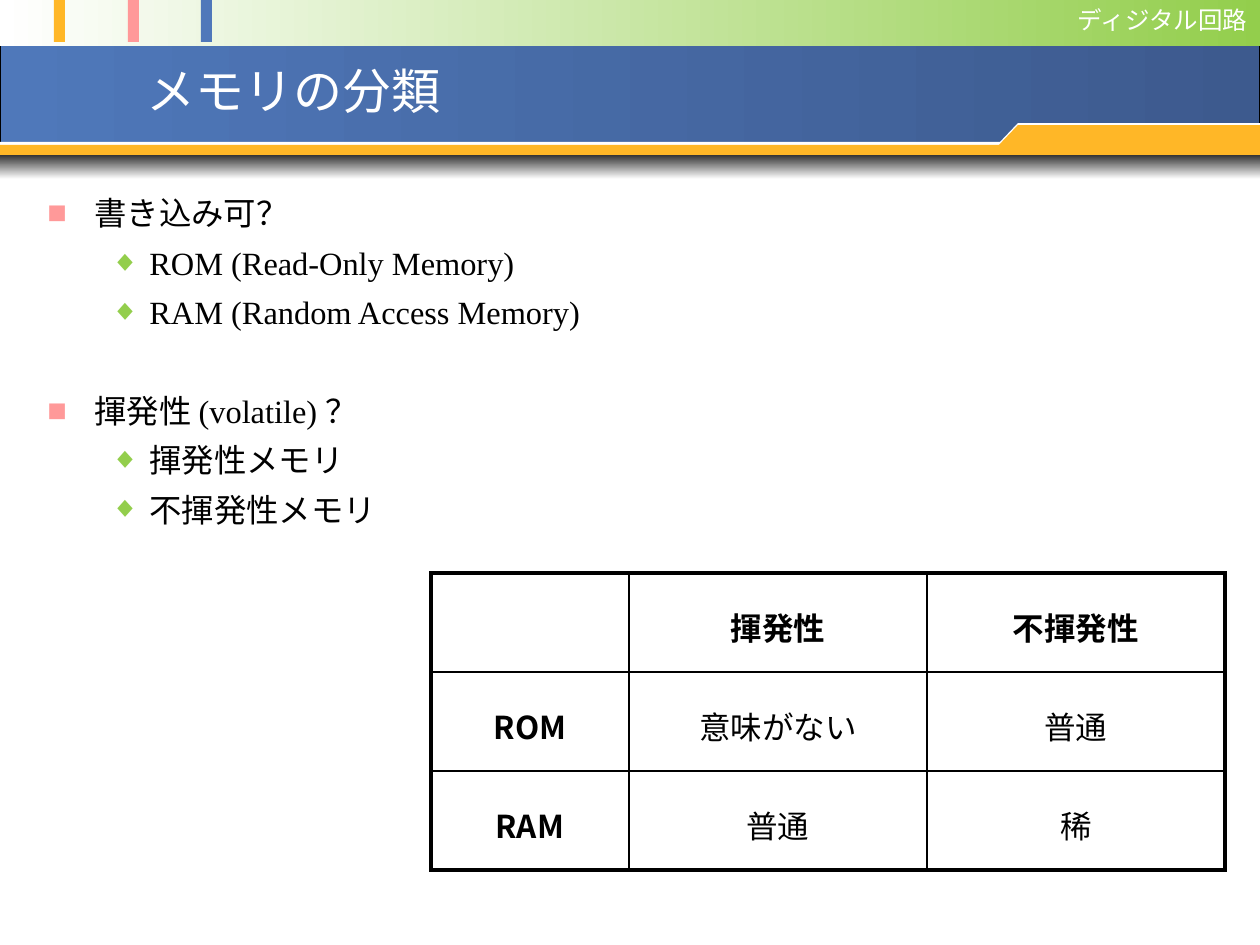
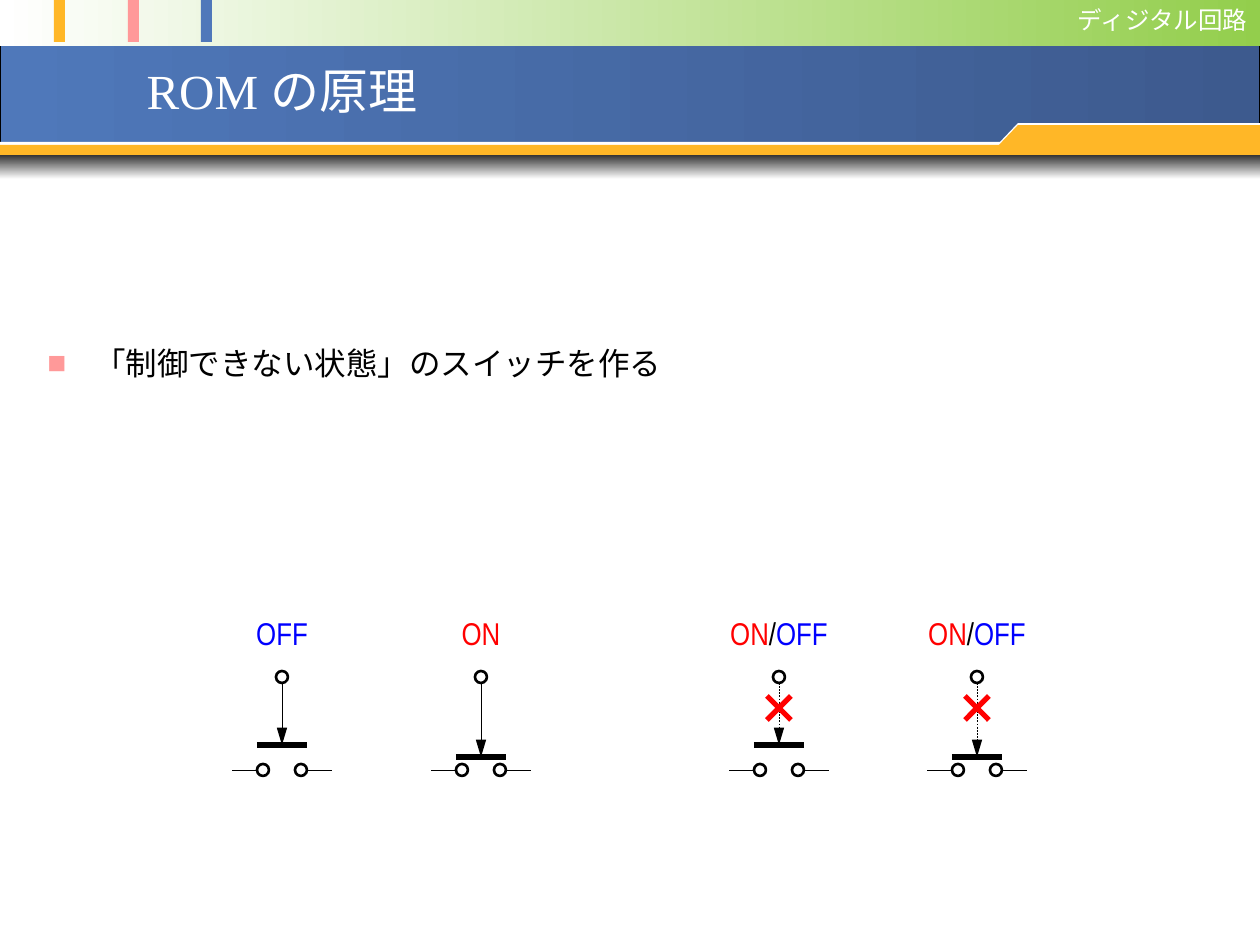
from lxml.etree import SubElement
from pptx import Presentation
from pptx.dml.color import RGBColor
from pptx.enum.dml import MSO_LINE
from pptx.enum.shapes import MSO_CONNECTOR, MSO_SHAPE
from pptx.enum.text import MSO_ANCHOR, PP_ALIGN
from pptx.oxml import parse_xml
from pptx.oxml.ns import nsdecls, qn
from pptx.util import Pt

PX = 914400 / 126
HUE = {
    "black": "000000", "white": "FFFFFF", "gold": "FFB727", "pink": "FF9999",
    "blue": "4F78BA", "navy": "3D5A8E", "green": "93CE4C",
    "red": "FF0000", "cold": "0000FF",
}
SERIF, SANS, SLIM = "Times New Roman", "Noto Sans CJK JP", "Arial Narrow"
RGB = {name: RGBColor.from_string(code) for name, code in HUE.items()}


def write(frame, text, size=18, font=SERIF, hue="black", bold=False,
          align=PP_ALIGN.LEFT, lead=None, gap=0, mark=None):
    para = frame.paragraphs[0]
    if frame.text:
        para = frame.add_paragraph()
    frame.vertical_anchor = MSO_ANCHOR.MIDDLE
    para.alignment = align
    para.space_before = Pt(gap)
    if lead:
        para.line_spacing = lead
    if mark:
        sign, tint, left, hang, scale = mark
        prop = para._p.get_or_add_pPr()
        prop.set("marL", str(round(left * PX)))
        prop.set("indent", str(round(-hang * PX)))
        color = SubElement(prop, qn("a:buClr"))
        SubElement(color, qn("a:srgbClr"), val=HUE[tint])
        SubElement(prop, qn("a:buSzPct"), val=str(scale * 1000))
        SubElement(prop, qn("a:buFont"), typeface=SERIF)
        SubElement(prop, qn("a:buChar"), char=sign)
    for part, tint in [(text, hue)] if isinstance(text, str) else text:
        run = para.add_run()
        run.text = part
        run.font.size = Pt(size)
        run.font.bold = bold
        run.font.name = font
        run.font.color.rgb = RGB[tint]
        SubElement(run.font._element, qn("a:ea"), typeface=SANS)


def draw(shapes, kind, *at, fill=None, turn=0, ink=None, wide=1, dash=False, tip=False):
    if kind == "free":
        path = shapes.build_freeform(*at[0], scale=PX)
        path.add_line_segments(at[1:])
        item = path.convert_to_shape()
    else:
        area = [round(v * PX) for v in at]
        if kind == "text":
            item = shapes.add_textbox(*area)
            item.text_frame.word_wrap = True
            return item.text_frame
        if kind == "line":
            item = shapes.add_connector(MSO_CONNECTOR.STRAIGHT, *area)
            SubElement(item.element.spPr, qn("a:effectLst"))
        else:
            item = shapes.add_shape(kind, *area)
    if kind != "line":
        item.shadow.inherit = False
        if isinstance(fill, tuple):
            item.fill.gradient()
            item.fill.gradient_angle = turn
            for stop, spot, name in zip(item.fill.gradient_stops, (0, 1), fill):
                stop.position = spot
                stop.color.rgb = RGB[name]
        elif fill:
            item.fill.solid()
            item.fill.fore_color.rgb = RGB[fill]
        else:
            item.fill.background()
    if ink:
        item.line.color.rgb = RGB[ink]
        item.line.width = Pt(wide)
    else:
        item.line.fill.background()
    if dash:
        item.line.dash_style = MSO_LINE.DASH
    if tip:
        edge = item.line._get_or_add_ln()
        SubElement(edge, qn("a:tailEnd"), type="triangle", w="med", len="lg")


deck = Presentation()
deck.slide_width, deck.slide_height = round(1260 * PX), round(945 * PX)
base = deck.slide_layouts[5]
for item in list(base.placeholders)[1:]:
    item.element.getparent().remove(item.element)

pages = []
for name in ("メモリの分類", "ROM の原理"):
    page = deck.slides.add_slide(base)
    title = page.shapes.title
    title.left, title.top, title.width, title.height = [
        round(v * PX) for v in (134, 46, 993, 87)]
    write(title.text_frame, name, size=28, hue="white")
    pages.append(page.shapes)
first, second = pages

RECT, OVAL = MSO_SHAPE.RECTANGLE, MSO_SHAPE.OVAL
draw(first, RECT, 0, 0, 1260, 175, fill=("blue", "navy"), ink="black", wide=0.75)
draw(first, RECT, 0, 0, 1260, 46, fill=("white", "green"))
for x, hue in (54, "gold"), (128, "pink"), (201, "blue"):
    draw(first, RECT, x, 0, 11, 42, fill=hue)
head = draw(first, "text", 1061, -2, 199, 43)
head.word_wrap = False
write(head, "ディジタル回路", size=14, font=SANS, hue="white", align=PP_ALIGN.RIGHT)
draw(first, RECT, 0, 149, 1260, 30, fill=("black", "white"), turn=270)
for hue, band, step in ("white", 142, 123), ("gold", 145, 125):
    draw(first, RECT, 0, band, 1260, 10, fill=hue)
    draw(first, RECT, 1018, step, 242, 21, fill=hue)
    draw(first, "free", (998, step + 21), (1018, step + 21), (1018, step), fill=hue)
for item in list(first):
    if not item.is_placeholder:
        base.shapes.element.append(item.element)

MARKS = ("■", "pink", 47, 47, 100), ("◆", "green", 102, 39, 90)
BODY = 35, 176, 1225, 368
body = draw(first, "text", *BODY)
for text, level, gap in (
    ("書き込み可？", 0, 4.8),
    ("ROM (Read-Only Memory)", 1, 4.8),
    ("RAM (Random Access Memory)", 1, 4.8),
    ("揮発性 (volatile) ？", 0, 33),
    ("揮発性メモリ", 1, 4.8),
    ("不揮発性メモリ", 1, 4.8),
):
    write(body, text, size=18.5, lead=Pt(23.4), gap=gap, mark=MARKS[level])

rows = ("", "揮発性", "不揮発性"), ("ROM", "意味がない", "普通"), ("RAM", "普通", "稀")
edges = 2.25, 1.5, 1, 2.25
grid = first.add_table(3, 3, *[round(v * PX) for v in (431, 573, 794, 297)]).table
grid.first_row = grid.horz_banding = False
for col, wide in zip(grid.columns, (198, 298, 298)):
    col.width = round(wide * PX)
for r, row in enumerate(rows):
    grid.rows[r].height = round(99 * PX)
    for c, text in enumerate(row):
        cell = grid.cell(r, c)
        cell.fill.background()
        if text:
            write(cell.text_frame, text, font=SANS, bold=r == 0 or c == 0,
                  align=PP_ALIGN.CENTER, lead=1.2, gap=5)
        cell.vertical_anchor = MSO_ANCHOR.MIDDLE
        prop = cell._tc.get_or_add_tcPr()
        sides = ("L", c), ("R", c + 1), ("T", r), ("B", r + 1)
        for spot, (side, edge) in enumerate(sides):
            prop.insert(spot, parse_xml(
                f'<a:ln{side} {nsdecls("a")} w="{round(edges[edge] * 12700)}">'
                f'<a:solidFill><a:srgbClr val="{HUE["black"]}"/></a:solidFill>'
                f'</a:ln{side}>'))

write(draw(second, "text", *BODY), "「制御できない状態」のスイッチを作る",
      lead=Pt(24.8), gap=5, mark=MARKS[0])

off, on = ("OFF", "cold"), ("ON", "red")
both = [on, ("/", "black"), off]
for x, bar, label, cut in (
    (282, 745, [off], False), (481, 757, [on], False),
    (779, 745, both, True), (977, 757, both, True),
):
    for side in (-1, 1):
        draw(second, OVAL, x + side * 19 - 6, 764, 12, 12,
             fill="white", ink="black", wide=1.5)
        draw(second, "line", x + side * 25, 770, x + side * 50, 770,
             ink="black", wide=0.25)
    draw(second, OVAL, x - 6, 671, 12, 12, ink="black", wide=1.5)
    draw(second, "line", x, 683, x, bar, ink="black", wide=0.25, dash=cut, tip=True)
    draw(second, "line", x - 25, bar, x + 25, bar, ink="black", wide=3)
    if cut:
        for side in (-12, 12):
            draw(second, "line", x + side, 696, x - side, 720, ink="red", wide=3)
    note = draw(second, "text", x - 75, 609, 150, 48)
    write(note, label, font=SLIM, align=PP_ALIGN.CENTER)

deck.save("out.pptx")
